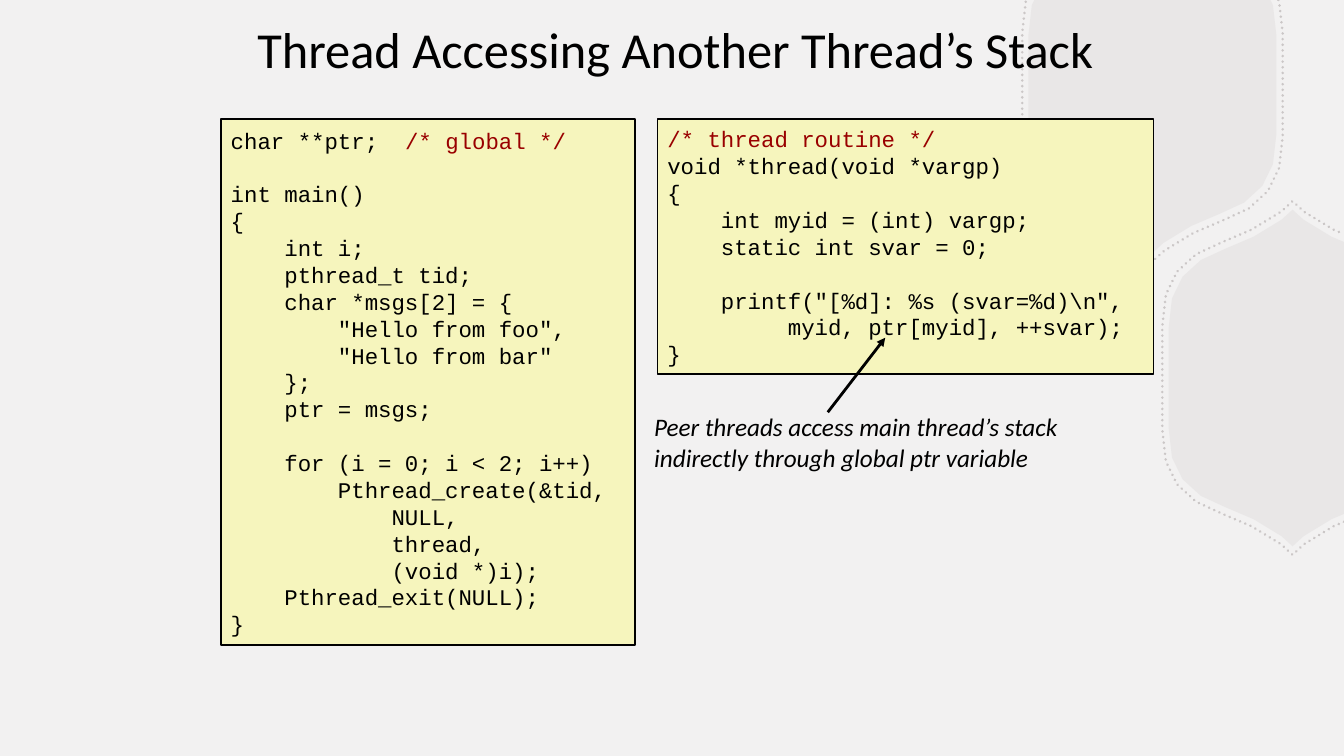
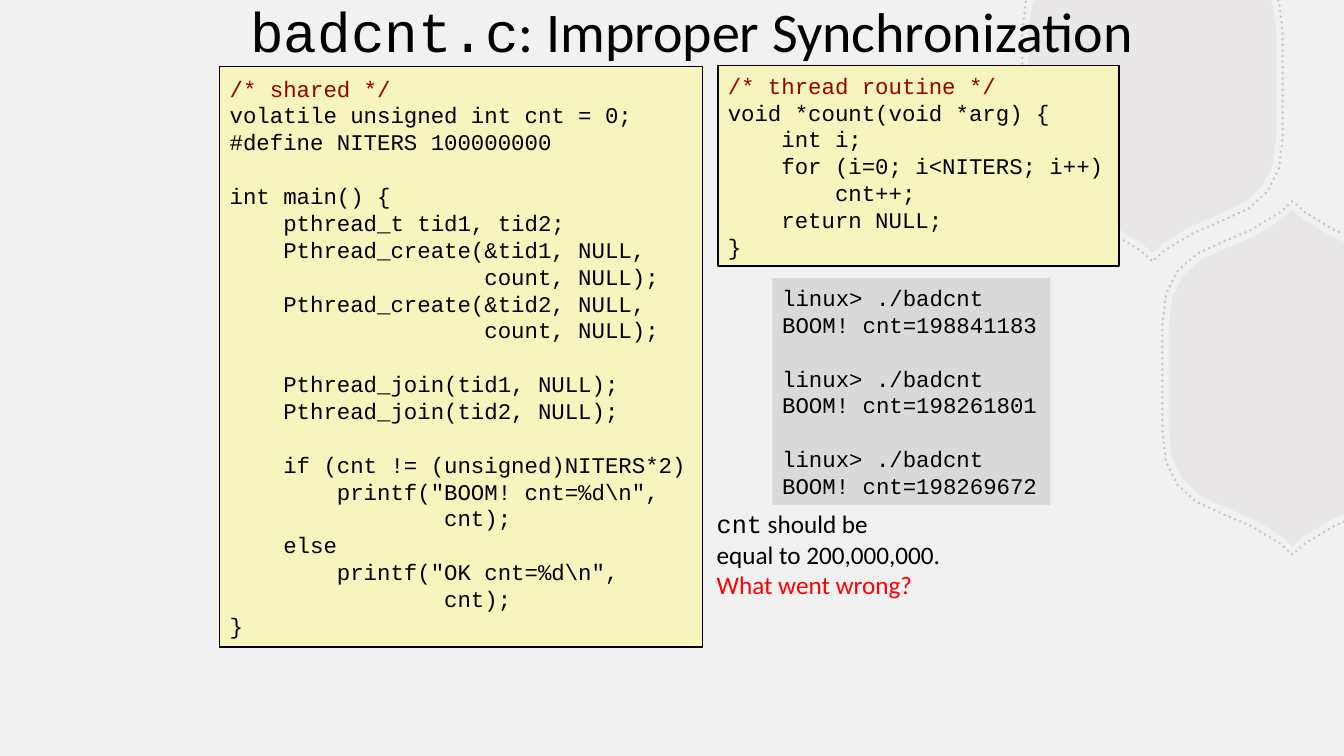
from dataclasses import dataclass

from lxml import etree
from pptx import Presentation
from pptx.dml.color import RGBColor as RGB
from pptx.enum.dml import MSO_LINE
from pptx.enum.shapes import MSO_CONNECTOR, MSO_SHAPE
from pptx.enum.text import MSO_ANCHOR as ANCHOR, PP_ALIGN as ALIGN
from pptx.oxml.ns import qn
from pptx.util import Inches, Pt


@dataclass(frozen=True)
class Theme:
    """Colours, fonts and type sizes of the deck."""
    width: float = 13.33
    height: float = 7.5
    background: RGB = RGB.from_string("F2F1F1")
    badge: RGB = RGB.from_string("B8B2B2")
    code_fill: RGB = RGB.from_string("F6F5BD")
    output_fill: RGB = RGB.from_string("D9D9D9")
    ink: RGB = RGB.from_string("000000")
    comment: RGB = RGB.from_string("990000")
    alert: RGB = RGB.from_string("FF0000")
    sans: str = "Calibri"
    mono: str = "Courier New"
    code_size: float = 16
    code_pitch: float = 19.2
    note_size: float = 18


THEME = Theme()

BADGE_CENTERS = [(11.43, 0.84), (12.82, 3.75)]
BADGE_TIP = [(0, 1.67), (-0.11, 1.57)]
BADGE_CURVES = [
    [(-0.11, 1.57), (-0.38, 1.36), (-0.68, 1.3), (-0.91, 1.17)],
    [(-0.91, 1.17), (-1.13, 1.02), (-1.23, 0.84), (-1.23, 0.49)],
]
OUTLINE_SCALE = 1.05
CURVE_STEPS = 3

MAIN_POINTER = r'''char **ptr;  /* global */

int main()
{
    int i;
    pthread_t tid;
    char *msgs[2] = {
        "Hello from foo",
        "Hello from bar"
    };
    ptr = msgs;

    for (i = 0; i < 2; i++)
        Pthread_create(&tid,
            NULL,
            thread,
            (void *)i);
    Pthread_exit(NULL);
}'''

THREAD_ROUTINE = r'''/* thread routine */
void *thread(void *vargp)
{
    int myid = (int) vargp;
    static int svar = 0;

    printf("[%d]: %s (svar=%d)\n",
         myid, ptr[myid], ++svar);
}'''

MAIN_COUNTER = r'''/* shared */
volatile unsigned int cnt = 0;
#define NITERS 100000000

int main() {
    pthread_t tid1, tid2;
    Pthread_create(&tid1, NULL,
                   count, NULL);
    Pthread_create(&tid2, NULL,
                   count, NULL);

    Pthread_join(tid1, NULL);
    Pthread_join(tid2, NULL);

    if (cnt != (unsigned)NITERS*2)
        printf("BOOM! cnt=%d\n",
                cnt);
    else
        printf("OK cnt=%d\n",
                cnt);
}'''

COUNT_ROUTINE = r'''/* thread routine */
void *count(void *arg) {
    int i;
    for (i=0; i<NITERS; i++)
        cnt++;
    return NULL;
}'''

BADCNT_OUTPUT = '''linux> ./badcnt
BOOM! cnt=198841183

linux> ./badcnt
BOOM! cnt=198261801

linux> ./badcnt
BOOM! cnt=198269672'''


def add_run(p, text, *, size, font=THEME.sans, color=THEME.ink, italic=False):
    """Add one formatted run to a paragraph."""
    r = p.add_run()
    r.text = text
    r.font.size = Pt(size)
    r.font.name = font
    r.font.color.rgb = color
    r.font.italic = italic


def add_text(sp, lines, *, align=ALIGN.LEFT, pitch=None, pad=0.05, **style):
    """Fill a shape with lines of (text, overrides) runs; empty lines become spacing."""
    tf = sp.text_frame
    tf.word_wrap = True
    tf.vertical_anchor = ANCHOR.MIDDLE
    tf.margin_left = tf.margin_right = Inches(0.1)
    tf.margin_top = tf.margin_bottom = Inches(pad)
    p, gap = tf.paragraphs[0], 0
    for i, line in enumerate(lines):
        if not line:
            gap += pitch
            continue
        if i:
            p = tf.add_paragraph()
        p.alignment = align
        if pitch:
            p.line_spacing = Pt(pitch)
        if gap:
            p.space_before = Pt(gap)
            gap = 0
        for text, overrides in line:
            add_run(p, text, **{**style, **overrides})


def add_label(s, box, lines, **style):
    """Add a text box holding the given lines."""
    add_text(s.shapes.add_textbox(*map(Inches, box)), lines, **style)


def split_comment(line):
    """Split a code line into plain and comment runs."""
    code, mark, comment = line.partition("/*")
    runs = [(code, {}), (mark + comment, {"color": THEME.comment})]
    return [run for run in runs if run[0]]


def add_code(s, box, code, fill=THEME.code_fill, border=True):
    """Add a filled panel of monospaced code."""
    sp = s.shapes.add_shape(MSO_SHAPE.RECTANGLE, *map(Inches, box))
    sp.shadow.inherit = False
    sp.fill.solid()
    sp.fill.fore_color.rgb = fill
    if border:
        sp.line.color.rgb = THEME.ink
        sp.line.width = Pt(1)
    else:
        sp.line.fill.background()
    add_text(sp, [split_comment(line) for line in code.split("\n")],
             size=THEME.code_size, font=THEME.mono, pitch=THEME.code_pitch)


def add_arrow(s, start, end):
    """Add a straight arrow from start to end."""
    sp = s.shapes.add_connector(MSO_CONNECTOR.STRAIGHT, *map(Inches, start + end))
    sp.line.color.rgb = THEME.ink
    sp.line.width = Pt(2)
    etree.SubElement(sp.line._get_or_add_ln(), qn("a:tailEnd"), type="triangle")
    etree.SubElement(sp._element.spPr, qn("a:effectLst"))


def set_alpha(color_format, color, percent):
    """Set a colour with the given opacity."""
    color_format.rgb = color
    clr = color_format._xFill.find(qn("a:srgbClr"))
    etree.SubElement(clr, qn("a:alpha"), val=str(percent * 1000))


def curve_points(a, b, c, d):
    """Sample a cubic curve after its first point."""
    for i in range(1, CURVE_STEPS + 1):
        t = i / CURVE_STEPS
        u = 1 - t
        yield tuple(u**3 * w + 3 * u * u * t * x + 3 * u * t * t * y + t**3 * z
                    for w, x, y, z in zip(a, b, c, d))


def badge_ring(center, scale):
    """Return the closed hexagonal outline around a centre."""
    quarter = BADGE_TIP + [pt for curve in BADGE_CURVES for pt in curve_points(*curve)]
    left = quarter + [(x, -y) for x, y in reversed(quarter)]
    ring = left + [(-x, y) for x, y in reversed(left[1:-1])]
    cx, cy = center
    return [(cx + scale * x, cy + scale * y) for x, y in ring]


def on_slide(point):
    """Tell whether a badge point lies within the top and right slide edges."""
    return point[0] <= THEME.width and point[1] >= 0


def edge_point(inner, outer):
    """Return where a segment leaves the slide."""
    (x, y), (u, v) = inner, outer
    t = y / (y - v) if v < 0 else (THEME.width - x) / (u - x)
    return x + t * (u - x), y + t * (v - y)


def visible_run(ring):
    """Return the part of a ring on the slide, from edge to edge."""
    start = next(i for i, pt in enumerate(ring)
                 if on_slide(pt) and not on_slide(ring[i - 1]))
    ring = ring[start:] + ring[:start]
    end = next(i for i, pt in enumerate(ring) if not on_slide(pt))
    return [edge_point(ring[0], ring[-1]), *ring[:end],
            edge_point(ring[end - 1], ring[end])]


def add_badge(s, center, scale, close):
    """Add the visible part of a badge as a freeform."""
    points = [(Inches(x), Inches(y)) for x, y in visible_run(badge_ring(center, scale))]
    builder = s.shapes.build_freeform(*points[0], scale=1.0)
    builder.add_line_segments(points[1:], close=close)
    sp = builder.convert_to_shape()
    sp.shadow.inherit = False
    return sp


def add_badge_fill(s, center):
    """Add a translucent badge."""
    sp = add_badge(s, center, 1, True)
    sp.fill.solid()
    set_alpha(sp.fill.fore_color, THEME.badge, 15)
    sp.line.fill.background()


def add_badge_outline(s, center):
    """Add a dotted badge outline."""
    sp = add_badge(s, center, OUTLINE_SCALE, False)
    sp.fill.background()
    sp.line.fill.solid()
    set_alpha(sp.line.fill.fore_color, THEME.badge, 65)
    sp.line.width = Pt(2)
    sp.line.dash_style = MSO_LINE.ROUND_DOT
    sp.line._get_or_add_ln().set("cap", "rnd")


def add_slide(prs, title_box, title, title_size):
    """Add a slide with the shared badges and a centred title."""
    s = prs.slides.add_slide(prs.slide_layouts[6])
    for add_layer in (add_badge_fill, add_badge_outline):
        for center in BADGE_CENTERS:
            add_layer(s, center)
    add_label(s, title_box, [title], size=title_size, align=ALIGN.CENTER)
    return s


def build_stack_slide(prs):
    """Build the slide on access to another thread's stack."""
    s = add_slide(prs, (2.05, -0.17, 9.3, 1.3),
                  [("Thread Accessing Another Thread’s Stack", {})], 36)
    add_code(s, (2.19, 1.18, 4.11, 5.22), MAIN_POINTER)
    add_code(s, (6.52, 1.18, 4.92, 2.53), THREAD_ROUTINE)
    add_label(s, (6.39, 4.08, 4.3, 0.61),
              [[("Peer threads access main thread’s stack", {})],
               [("indirectly through global ptr variable", {})]],
              size=THEME.note_size, italic=True, pad=0)
    add_arrow(s, (8.21, 4.09), (8.78, 3.35))


def build_badcnt_slide(prs):
    """Build the slide on improper synchronization."""
    mono = {"font": THEME.mono}
    s = add_slide(prs, (2.06, -0.42, 9.6, 1.43),
                  [("badcnt.c", mono), (": Improper Synchronization", {})], 40)
    add_code(s, (2.18, 0.66, 4.79, 5.76), MAIN_COUNTER)
    add_code(s, (7.12, 0.65, 3.98, 1.99), COUNT_ROUTINE)
    add_code(s, (7.66, 2.76, 2.76, 2.25), BADCNT_OUTPUT, THEME.output_fill, border=False)
    add_label(s, (7.01, 4.99, 2.5, 1.01),
              [[("cnt", mono), (" should be", {})],
               [("equal to 200,000,000.", {})],
               [("What went wrong?", {"color": THEME.alert})]],
              size=THEME.note_size)


def main():
    """Build and save the deck."""
    prs = Presentation()
    prs.slide_width = Inches(THEME.width)
    prs.slide_height = Inches(THEME.height)
    fill = prs.slide_master.background.fill
    fill.solid()
    fill.fore_color.rgb = THEME.background
    build_stack_slide(prs)
    build_badcnt_slide(prs)
    prs.save("out.pptx")


if __name__ == "__main__":
    main()
